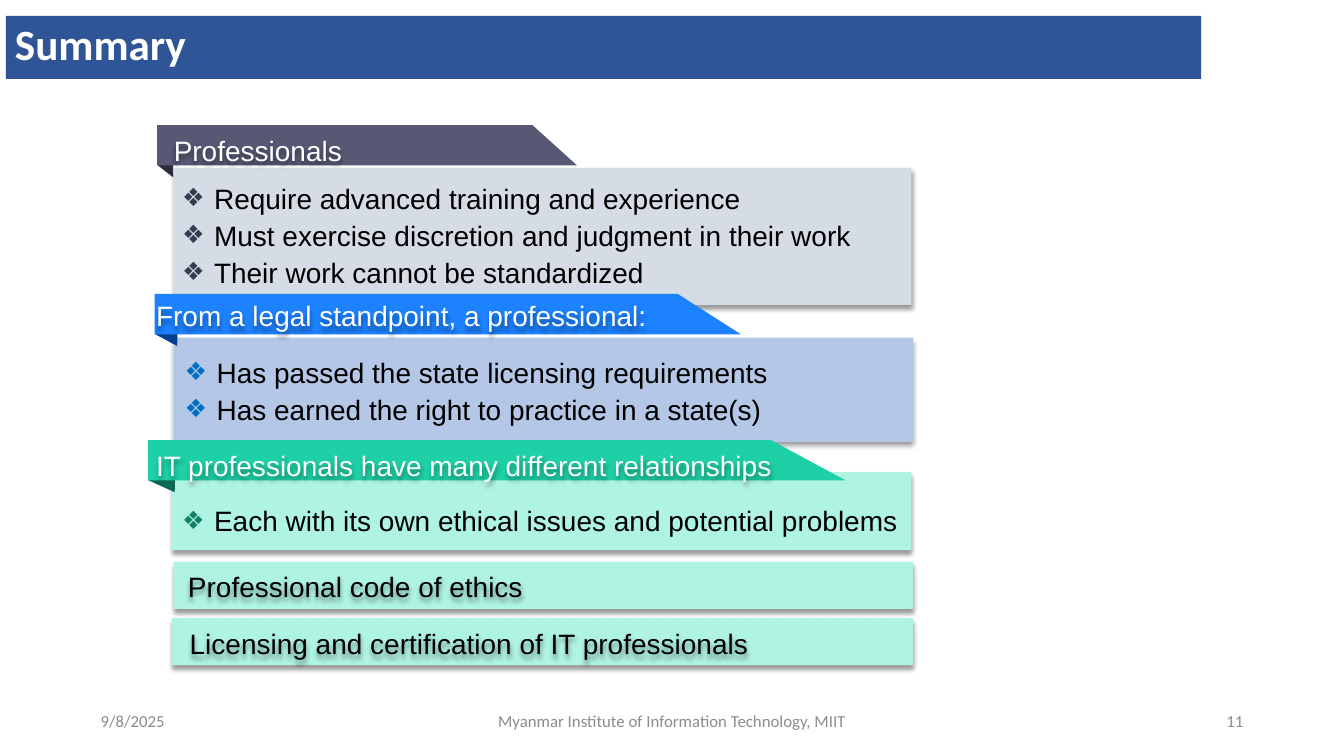
from lxml import etree
from pptx import Presentation
from pptx.dml.color import RGBColor
from pptx.enum.shapes import MSO_SHAPE as SHAPE
from pptx.enum.text import MSO_ANCHOR as ANCHOR, PP_ALIGN as ALIGN
from pptx.oxml import parse_xml
from pptx.oxml.ns import nsdecls, qn
from pptx.util import Inches, Pt

THEME = {
    "banner": "2F5597", "white": "FFFFFF", "black": "000000", "footer": "8C8C8C",
    "slate": {"panel": "D6DCE5", "tab": "565874", "fold": "2B2C3A", "bullet": "333F50"},
    "blue": {"panel": "B4C7E7", "tab": "1C82FF", "fold": "00408E", "bullet": "0070C0"},
    "green": {"panel": "AFF3E3", "tab": "1ED0A6", "fold": "0F6853", "bullet": "128066"},
    "title": {"name": "Calibri", "size": Pt(37), "bold": True},
    "body": {"name": "Arial", "size": Pt(24)},
    "small": {"name": "Calibri", "size": Pt(14.4)},
}

prs = Presentation()
prs.slide_width, prs.slide_height = Inches(16), Inches(9)
s = prs.slides.add_slide(prs.slide_layouts[6])


def paint(sp, color=None, shadow=False):
    """Fill a shape without outline and give it a soft shadow or none."""
    if color:
        sp.fill.solid()
        sp.fill.fore_color.rgb = RGBColor.from_string(color)
        sp.line.fill.background()
    sp.shadow.inherit = False
    if shadow:
        effects = sp._element.spPr.find(qn("a:effectLst"))
        effects.append(parse_xml(
            f'<a:outerShdw {nsdecls("a")} blurRad="{Pt(4)}" dist="{Pt(3)}" dir="5400000" '
            f'algn="t" rotWithShape="0"><a:srgbClr val="{THEME["black"]}">'
            '<a:alpha val="40000"/></a:srgbClr></a:outerShdw>'))


def write(box, lines, font, color, bullet=None, indent=0, shadow=False,
          anchor=ANCHOR.TOP, **layout):
    """Add a text box with one paragraph per line."""
    sp = s.shapes.add_textbox(*map(Inches, box))
    paint(sp, shadow=shadow)
    tf = sp.text_frame
    tf.word_wrap, tf.vertical_anchor = True, anchor
    for i, line in enumerate(lines):
        p = tf.paragraphs[0] if i == 0 else tf.add_paragraph()
        for key, value in layout.items():
            setattr(p, key, value)
        pPr = p._p.get_or_add_pPr()
        if indent:
            pPr.set("marL", str(Inches(indent)))
        if bullet:
            pPr.set("indent", str(Inches(-0.38)))
            color_el = etree.SubElement(pPr, qn("a:buClr"))
            etree.SubElement(color_el, qn("a:srgbClr"), val=bullet)
            etree.SubElement(pPr, qn("a:buSzPct"), val="90000")
            etree.SubElement(pPr, qn("a:buFont"), typeface="Arial")
            etree.SubElement(pPr, qn("a:buChar"), char="❖")
        r = p.add_run()
        r.text = line
        for key, value in font.items():
            setattr(r.font, key, value)
        r.font.color.rgb = RGBColor.from_string(color)


# Title banner
banner = s.shapes.add_shape(SHAPE.RECTANGLE, *map(Inches, (0.07, 0.19, 14.23, 0.75)))
paint(banner, THEME["banner"])
write((0.08, 0.16, 4.46, 1.35), ["Summary"], THEME["title"], THEME["white"])

# Sections: panel, folded tab (left, top, shoulder, tip, fold edge), heading, bullets
sections = [
    {"colors": THEME["slate"], "panel": (2.07, 2, 8.78, 1.63),
     "tab": (1.87, 1.49, 6.34, 6.87, 2.07),
     "heading": "Professionals", "heading_box": (1.97, 1.34, 2.49, 0.63), "spacing": 1.5,
     "points_box": (1.48, 2.07, 9.14, 1.4), "align": ALIGN.JUSTIFY,
     "points": ["Require advanced training and experience ",
                "Must exercise discretion and judgment in their work",
                "Their work cannot be standardized"]},
    {"colors": THEME["blue"], "panel": (2.07, 4.02, 8.8, 1.24),
     "tab": (1.84, 3.5, 8.07, 8.82, 2.12),
     "heading": "From a legal standpoint, a professional:",
     "heading_box": (1.76, 3.47, 7.06, 0.51), "spacing": 1.1,
     "points_box": (1.51, 4.14, 8.8, 0.96), "align": ALIGN.JUSTIFY,
     "points": ["Has passed the state licensing requirements ",
                "Has earned the right to practice in a state(s)"]},
    {"colors": THEME["green"], "panel": (2.05, 5.62, 8.8, 0.93),
     "tab": (1.76, 5.24, 9.18, 10.07, 2.09),
     "heading": "IT professionals have many different relationships",
     "heading_box": (1.76, 5.25, 8.4, 0.51), "spacing": 1.1,
     "points_box": (1.48, 5.91, 9.65, 0.51), "align": ALIGN.LEFT,
     "points": ["Each with its own ethical issues and potential problems"]},
]
for sec in sections:
    colors = sec["colors"]
    panel = s.shapes.add_shape(SHAPE.RECTANGLE, *map(Inches, sec["panel"]))
    paint(panel, colors["panel"], shadow=True)

    left, top, shoulder, tip, edge = sec["tab"]
    bottom = top + 0.48
    outlines = {
        "fold": [(left + 0.01, top + 0.01), (edge, top + 0.02),
                 (edge - 0.01, top + 0.62), (left + 0.01, bottom)],
        "tab": [(left, top), (shoulder, top), (tip, bottom), (left, bottom)],
    }
    for part, outline in outlines.items():
        corners = [(Inches(x), Inches(y)) for x, y in outline]
        builder = s.shapes.build_freeform(*corners[0])
        builder.add_line_segments(corners[1:], close=True)
        paint(builder.convert_to_shape(), colors[part])

    write(sec["heading_box"], [sec["heading"]], THEME["body"], THEME["white"],
          shadow=True, alignment=ALIGN.JUSTIFY, line_spacing=sec["spacing"])
    write(sec["points_box"], sec["points"], THEME["body"], THEME["black"],
          bullet=colors["bullet"], indent=0.97, level=1,
          alignment=sec["align"], line_spacing=1.1)

# Closing bars
bars = [
    ((2.07, 6.69, 8.8, 0.56), (1.53, 6.69, 5.36, 0.51), "Professional code of ethics"),
    ((2.05, 7.36, 8.82, 0.56), (1.55, 7.37, 7.75, 0.51),
     "Licensing and certification of IT professionals"),
]
for bar_box, text_box, label in bars:
    bar = s.shapes.add_shape(SHAPE.RECTANGLE, *map(Inches, bar_box))
    paint(bar, THEME["green"]["panel"], shadow=True)
    write(text_box, [label], THEME["body"], THEME["black"], indent=0.61,
          shadow=True, level=1, line_spacing=1.1)

# Footer
footer = [
    (1.1, 3.6, "9/8/2025", ALIGN.LEFT),
    (5.3, 5.4, "Myanmar Institute of Information Technology, MIIT", ALIGN.CENTER),
    (11.3, 3.6, "11", ALIGN.RIGHT),
]
for left, width, label, align in footer:
    write((left, 8.34, width, 0.48), [label], THEME["small"], THEME["footer"],
          anchor=ANCHOR.MIDDLE, alignment=align)

prs.save("out.pptx")
